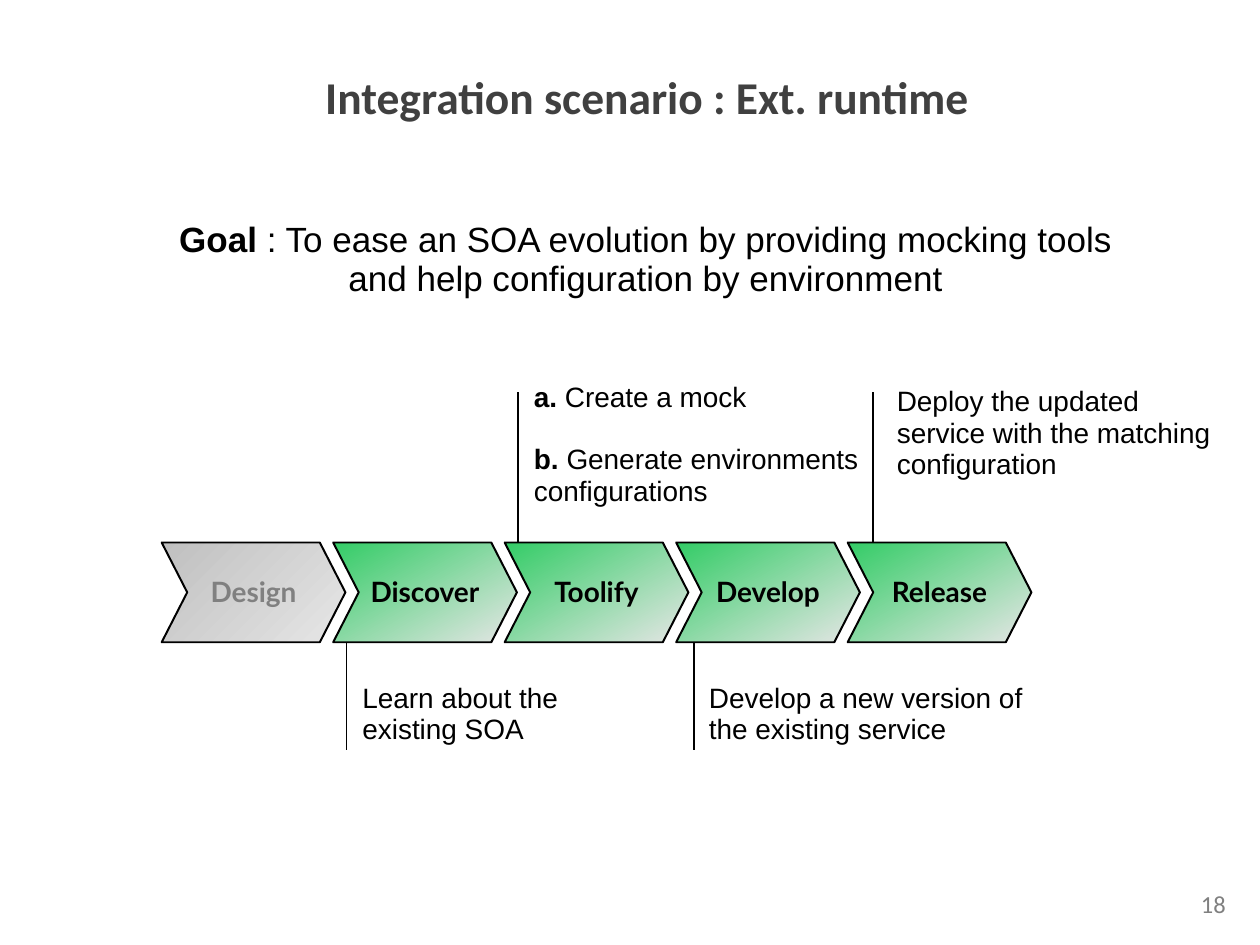
"""Build the integration scenario slide with its five-step process chain."""
from pptx import Presentation
from pptx.dml.color import RGBColor
from pptx.enum.shapes import MSO_CONNECTOR, MSO_SHAPE
from pptx.enum.text import MSO_ANCHOR, MSO_AUTO_SIZE, PP_ALIGN
from pptx.oxml import parse_xml
from pptx.oxml.ns import nsdecls
from pptx.util import Pt

BLACK = RGBColor(0x00, 0x00, 0x00)
CHARCOAL = RGBColor(0x40, 0x40, 0x40)
GRAY = RGBColor(0x80, 0x80, 0x80)
SILVER = RGBColor(0xC0, 0xC0, 0xC0)
PALE = RGBColor(0xE6, 0xE6, 0xE6)
GREEN = RGBColor(0x33, 0xCC, 0x66)

TITLE = {"name": "Calibri", "size": Pt(26), "bold": True, "color": CHARCOAL}
GOAL = {"name": "Arial", "size": Pt(20), "bold": False, "color": BLACK}
NOTE = {"name": "Arial", "size": Pt(16), "bold": False, "color": BLACK}
STEP = {"name": "Lato", "size": Pt(16), "bold": True, "color": BLACK}
NUMBER = {"name": "Calibri", "size": Pt(14), "bold": False, "color": GRAY}

STEP_LEFT, STEP_TOP, STEP_PITCH = 92.4, 310, 98
STEP_WIDTH, STEP_HEIGHT, STEP_NOTCH = 105, 57, 14.6
STEPS = ["Design", "Discover", "Toolify", "Develop", "Release"]
MOCK = [
    [("a.", True), (" Create a mock", False)],
    [("b. ", True), ("Generate environments configurations", False)],
]
NOTES = [
    (198, 428.4, 200, 386, 183, [[("Learn about the existing SOA", False)]]),
    (296, 224, 298, 214, 201, MOCK),
    (396.7, 428.4, 398, 386, 214,
     [[("Develop a new version of the existing service", False)]]),
    (499, 224, 505.4, 216.7, 201,
     [[("Deploy the updated service with the matching configuration", False)]]),
]
GOAL_LINES = [
    [("Goal ", True), (": To ease an SOA evolution by providing mocking tools", False)],
    [("and help configuration by environment", False)],
]


def apply(target, values):
    for key, value in values.items():
        setattr(target, key, value)


class ScenarioSlide:
    def __init__(self, deck):
        self.slide = deck.slides.add_slide(deck.slide_layouts[5])
        self.shapes = self.slide.shapes

    def typeset(self, frame, lines, style, align=PP_ALIGN.LEFT, spacing=1.0, gap=0,
                anchor=MSO_ANCHOR.TOP, wrap=True, top_inset=3.6):
        apply(frame, {
            "word_wrap": wrap, "auto_size": MSO_AUTO_SIZE.NONE,
            "vertical_anchor": anchor,
            "margin_left": Pt(7.2), "margin_right": Pt(7.2),
            "margin_top": Pt(top_inset), "margin_bottom": Pt(3.6),
        })
        for index, line in enumerate(lines):
            paragraph = frame.add_paragraph() if index else frame.paragraphs[0]
            apply(paragraph, {
                "alignment": align, "line_spacing": spacing,
                "space_before": Pt(gap if index else 0), "space_after": Pt(0),
            })
            for words, bold in line:
                run = paragraph.add_run()
                run.text = words
                apply(run.font, {"name": style["name"], "size": style["size"],
                                 "bold": bold})
                run.font.color.rgb = style["color"]

    def title(self, words, left, top, width, height):
        heading = self.shapes.title
        apply(heading, {"left": Pt(left), "top": Pt(top),
                        "width": Pt(width), "height": Pt(height)})
        self.typeset(heading.text_frame, [[(words, TITLE["bold"])]], TITLE)

    def text(self, lines, left, top, width, height, style, **layout):
        label = self.shapes.add_textbox(Pt(left), Pt(top), Pt(width), Pt(height))
        self.typeset(label.text_frame, lines, style, **layout)

    def step(self, name, left, start, angle, ink):
        chevron = self.shapes.add_shape(
            MSO_SHAPE.CHEVRON, Pt(left), Pt(STEP_TOP), Pt(STEP_WIDTH), Pt(STEP_HEIGHT))
        chevron.adjustments[0] = STEP_NOTCH / STEP_HEIGHT
        chevron.shadow.inherit = False
        chevron.fill.gradient()
        chevron.fill.gradient_angle = 360 - angle
        for stop, color in zip(chevron.fill.gradient_stops, (start, PALE)):
            stop.color.rgb = color
        chevron.line.color.rgb = BLACK
        chevron.line.width = Pt(1.13)
        self.typeset(chevron.text_frame, [[(name, STEP["bold"])]], {**STEP, "color": ink},
                     align=PP_ALIGN.CENTER, spacing=0.97,
                     anchor=MSO_ANCHOR.MIDDLE, wrap=False)

    def leader(self, x, start, end):
        rule = self.shapes.add_connector(
            MSO_CONNECTOR.STRAIGHT, Pt(x), Pt(start), Pt(x), Pt(end))
        rule.line.color.rgb = BLACK
        rule.line.width = Pt(0.85)
        rule._element.spPr.append(parse_xml(f"<a:effectLst {nsdecls('a')}/>"))


def main():
    deck = Presentation()
    apply(deck, {"slide_width": Pt(720), "slide_height": Pt(540)})
    scenario = ScenarioSlide(deck)
    scenario.title("Integration scenario : Ext. runtime", 178.6, 36, 527, 38)
    scenario.text(GOAL_LINES, 65.5, 121.7, 607, 50, GOAL,
                  align=PP_ALIGN.CENTER, spacing=0.93, top_inset=5)
    for index, name in enumerate(STEPS):
        look = (GREEN, 60, BLACK) if index else (SILVER, 45, GRAY)
        scenario.step(name, STEP_LEFT + index * STEP_PITCH, *look)
    for x, end, left, top, width, lines in NOTES:
        edge = STEP_TOP if end < STEP_TOP else STEP_TOP + STEP_HEIGHT
        scenario.leader(x, edge, end)
        scenario.text(lines, left, top, width, 104, NOTE,
                      spacing=0.93, gap=18, top_inset=4.3)
    scenario.text([[("18", NUMBER["bold"])]], 566.6, 504.7, 141, 28, NUMBER,
                  align=PP_ALIGN.RIGHT)
    deck.save("out.pptx")


if __name__ == "__main__":
    main()
